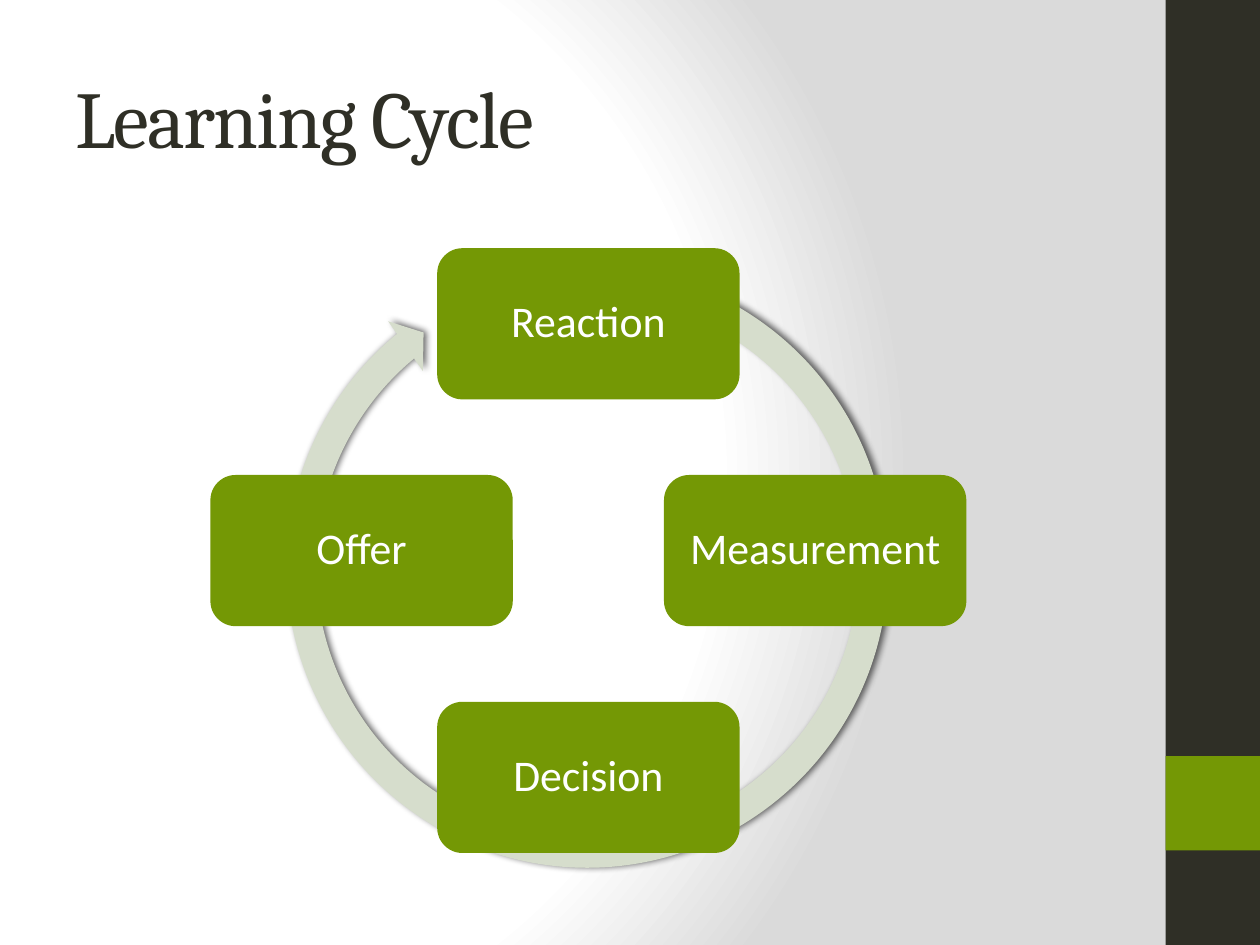
from dataclasses import dataclass

from pptx import Presentation, oxml, util as u
from pptx.dml.color import RGBColor
from pptx.enum import shapes, text
from pptx.oxml.ns import nsdecls


@dataclass(frozen=True)
class Theme:
    dark: str = "2F2F26"
    green: str = "749805"
    pale: str = "D6DDCC"
    white: str = "FFFFFF"
    grey: str = "DADADA"
    shadow: str = "000000"
    heading_font: str = "Cambria"
    body_font: str = "Calibri"
    heading_size: float = 46
    body_size: float = 25


def write(shape, words, *, font, size, color, align=text.PP_ALIGN.LEFT,
          line_spacing=1.0, tracking=0):
    frame = shape.text_frame
    frame.word_wrap = True
    frame.vertical_anchor = text.MSO_ANCHOR.MIDDLE
    frame.margin_left = frame.margin_right = u.Inches(0.1)
    paragraph = frame.paragraphs[0]
    paragraph.alignment = align
    paragraph.line_spacing = line_spacing
    run = paragraph.add_run()
    run.text = words
    run.font.name = font
    run.font.size = u.Pt(size)
    run.font.color.rgb = RGBColor.from_string(color)
    if tracking:
        run.font._element.set("spc", str(int(tracking * 100)))


class CycleSlide:
    """Draws the parts of a cycle slide in one theme."""

    def __init__(self, slide, theme):
        self.slide = slide
        self.theme = theme

    def backdrop(self):
        stops = ((0, self.theme.white), (75, self.theme.white), (100, self.theme.grey))
        stop_xml = "".join(
            f'<a:gs pos="{place * 1000}"><a:srgbClr val="{color}"/></a:gs>'
            for place, color in stops)
        self.slide.element.cSld.insert(0, oxml.parse_xml(
            f'<p:bg {nsdecls("p", "a")}><p:bgPr><a:gradFill rotWithShape="1">'
            f'<a:gsLst>{stop_xml}</a:gsLst><a:path path="circle">'
            '<a:fillToRect l="20000" t="50000" r="100000" b="50000"/></a:path>'
            '</a:gradFill><a:effectLst/></p:bgPr></p:bg>'))

    def block(self, kind, left, top, width, height, color):
        shape = self.slide.shapes.add_shape(
            kind, *(u.Inches(n) for n in (left, top, width, height)))
        shape.shadow.inherit = False
        shape.fill.solid()
        shape.fill.fore_color.rgb = RGBColor.from_string(color)
        shape.line.fill.background()
        return shape

    def band(self, top, height, color):
        self.block(shapes.MSO_SHAPE.RECTANGLE, 9.25, top, 0.75, height, color)

    def title(self, words):
        heading = self.slide.shapes.add_textbox(
            u.Inches(0.5), u.Inches(0.3), u.Inches(8.33), u.Inches(1.25))
        write(heading, words, font=self.theme.heading_font,
              size=self.theme.heading_size, color=self.theme.dark, tracking=-1)

    def ring(self, left, top, size):
        arrow = self.block(shapes.MSO_SHAPE.CIRCULAR_ARROW, left, top, size, size,
                           self.theme.pale)
        for index, value in enumerate((0.047, 2.729, 138.336, 173.86, 0.048)):
            arrow.adjustments[index] = value
        effects = arrow.element.spPr.find(oxml.ns.qn("a:effectLst"))
        effects.append(oxml.parse_xml(
            f'<a:outerShdw {nsdecls("a")} blurRad="{u.Pt(4)}" dist="{u.Pt(2)}" dir="0">'
            f'<a:srgbClr val="{self.theme.shadow}"><a:alpha val="60000"/></a:srgbClr>'
            '</a:outerShdw>'))

    def stage(self, words, center_x, center_y, width=2.4, height=1.2):
        card = self.block(shapes.MSO_SHAPE.ROUNDED_RECTANGLE, center_x - width / 2,
                          center_y - height / 2, width, height, self.theme.green)
        write(card, words, font=self.theme.body_font, size=self.theme.body_size,
              color=self.theme.white, align=text.PP_ALIGN.CENTER, line_spacing=0.9)


def main():
    deck = Presentation()
    deck.slide_width, deck.slide_height = u.Inches(10), u.Inches(7.5)
    theme = Theme()
    cycle = CycleSlide(deck.slides.add_slide(deck.slide_layouts[6]), theme)

    cycle.backdrop()
    cycle.band(0, 7.5, theme.dark)
    cycle.band(6, 0.75, theme.green)
    cycle.title("Learning Cycle")
    cycle.ring(2.15, 1.99, 5.02)

    hub_x, hub_y, radius = 4.67, 4.37, 1.8
    stages = (("Reaction", 0, -1), ("Measurement", 1, 0),
              ("Decision", 0, 1), ("Offer", -1, 0))
    for words, across, down in stages:
        cycle.stage(words, hub_x + across * radius, hub_y + down * radius)

    deck.save("out.pptx")


if __name__ == "__main__":
    main()
